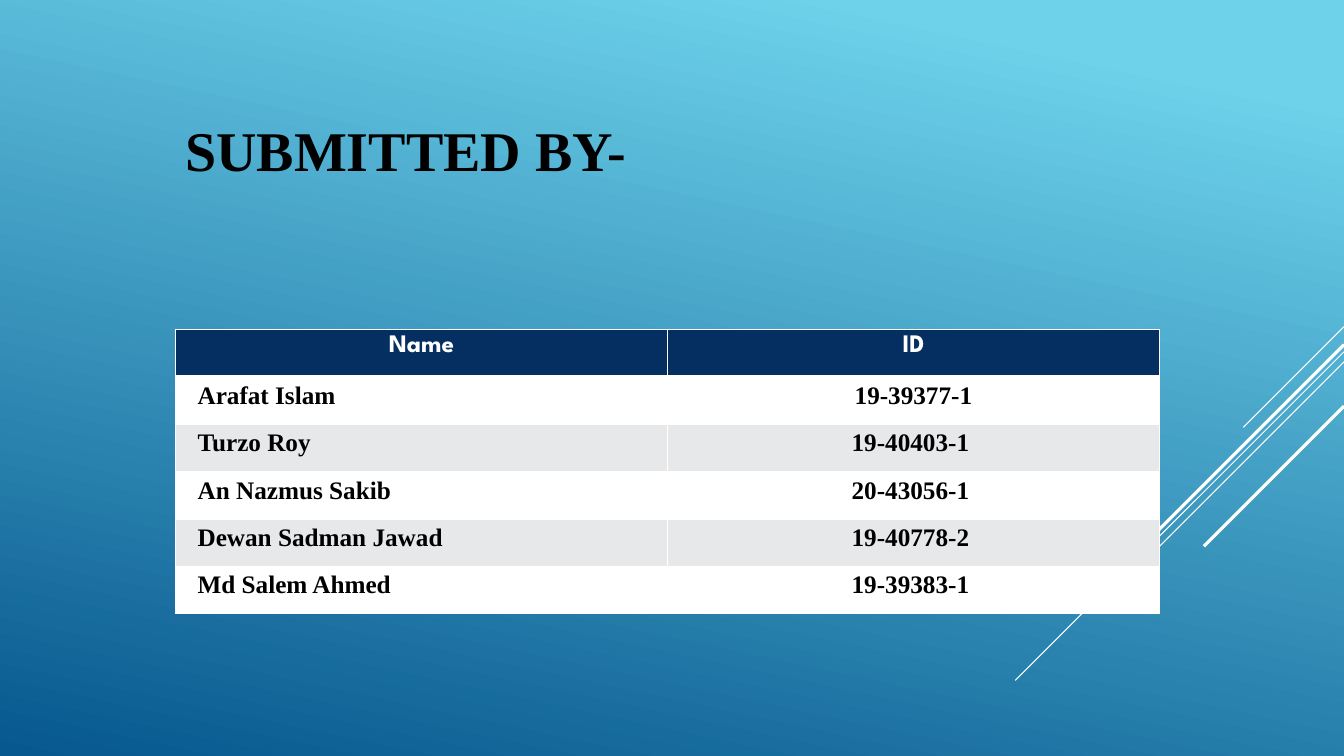
from lxml.etree import SubElement
from pptx import Presentation
from pptx.dml.color import RGBColor
from pptx.enum.shapes import MSO_CONNECTOR
from pptx.enum.text import MSO_ANCHOR, PP_ALIGN
from pptx.oxml.ns import qn
from pptx.util import Inches, Pt

# Content
TITLE = "SUBMITTED BY-"
HEADER = ("Name", "ID")
MEMBERS = [
    ("Arafat Islam", "19-39377-1"),
    ("Turzo Roy", "19-40403-1"),
    ("An Nazmus Sakib", "20-43056-1"),
    ("Dewan Sadman Jawad", "19-40778-2"),
    ("Md Salem Ahmed", "19-39383-1"),
]

# Colours and fonts
SKY = RGBColor(0x6E, 0xD2, 0xEB)
OCEAN = RGBColor(0x06, 0x58, 0x8E)
NAVY = RGBColor(0x05, 0x2F, 0x61)
PALE = RGBColor(0xE7, 0xE8, 0xEA)
WHITE = RGBColor(0xFF, 0xFF, 0xFF)
BLACK = RGBColor(0, 0, 0)
SERIF, DISPLAY = "Times New Roman", "League Spartan"

# Layout in inches
WIDTH, HEIGHT = 13.33, 7.5
LEFT = 1.74
TABLE_TOP, COLUMN, ROW = 3.27, 4.88, 0.47
INSET, NAME_INDENT, ID_SHIFT = 0.1, 0.22, 0.06
# Diagonals fall at 45 degrees from the right edge: start height, run, weight
DIAGONALS = [
    (3.24, 1.0, 0.75),
    (3.49, 3.26, 0.75),
    (3.59, 2.07, 0.75),
    (3.42, 1.91, 2.25),
    (4.03, 1.39, 2.25),
]


def write(frame, text, align, **font):
    para = frame.paragraphs[0]
    para.alignment = align
    span = para.add_run()
    span.text = text
    span.font.color.rgb = font.pop("color")
    for name, value in font.items():
        setattr(span.font, name, value)


def set_borders(cell, weights):
    properties = cell._tc.get_or_add_tcPr()
    for side, weight in weights.items():
        line = SubElement(properties, qn(f"a:ln{side}"), w=str(Pt(weight)))
        fill = SubElement(line, qn("a:solidFill"))
        SubElement(fill, qn("a:srgbClr"), val=str(WHITE))


deck = Presentation()
deck.slide_width, deck.slide_height = Inches(WIDTH), Inches(HEIGHT)
page = deck.slides.add_slide(deck.slide_layouts[6])

# Background gradient
backdrop = page.background.fill
backdrop.gradient()
backdrop.gradient_angle = 360 - 102
for stop, (position, color) in zip(backdrop.gradient_stops, [(0.1, SKY), (1, OCEAN)]):
    stop.position = position
    stop.color.rgb = color

# Diagonal lines
for top, run, weight in DIAGONALS:
    ends = [Inches(v) for v in (WIDTH, top, WIDTH - run, top + run)]
    diagonal = page.shapes.add_connector(MSO_CONNECTOR.STRAIGHT, *ends)
    diagonal.line.color.rgb = WHITE
    diagonal.line.width = Pt(weight)
    SubElement(diagonal._element.spPr, qn("a:effectLst"))

# Title
box = page.shapes.add_textbox(Inches(LEFT), Inches(0.65), Inches(9.33), Inches(1.65))
box.text_frame.word_wrap = True
box.text_frame.vertical_anchor = MSO_ANCHOR.MIDDLE
write(box.text_frame, TITLE, PP_ALIGN.LEFT, size=Pt(40), name=SERIF, bold=True, color=BLACK)

# Table of members
rows = [HEADER] + MEMBERS
table = page.shapes.add_table(
    len(rows), len(HEADER), Inches(LEFT), Inches(TABLE_TOP),
    Inches(COLUMN * len(HEADER)), Inches(ROW * len(rows))).table
for r, values in enumerate(rows):
    table.rows[r].height = Inches(ROW)
    heading = r == 0
    for c, value in enumerate(values):
        cell = table.cell(r, c)
        is_name = c == 0 and not heading
        cell.margin_left = Inches(NAME_INDENT if is_name else INSET)
        cell.margin_right = Inches(INSET + (ID_SHIFT if c == 1 and r > 1 else 0))
        set_borders(cell, {"L": 1, "R": 1, "T": 3 if r == 1 else 1, "B": 3 if heading else 1})
        cell.fill.solid()
        cell.fill.fore_color.rgb = NAVY if heading else (WHITE if r % 2 else PALE)
        write(cell.text_frame, value, PP_ALIGN.LEFT if is_name else PP_ALIGN.CENTER,
              size=Pt(18), name=DISPLAY if heading else SERIF, bold=True,
              color=WHITE if heading else BLACK)

deck.save("out.pptx")
